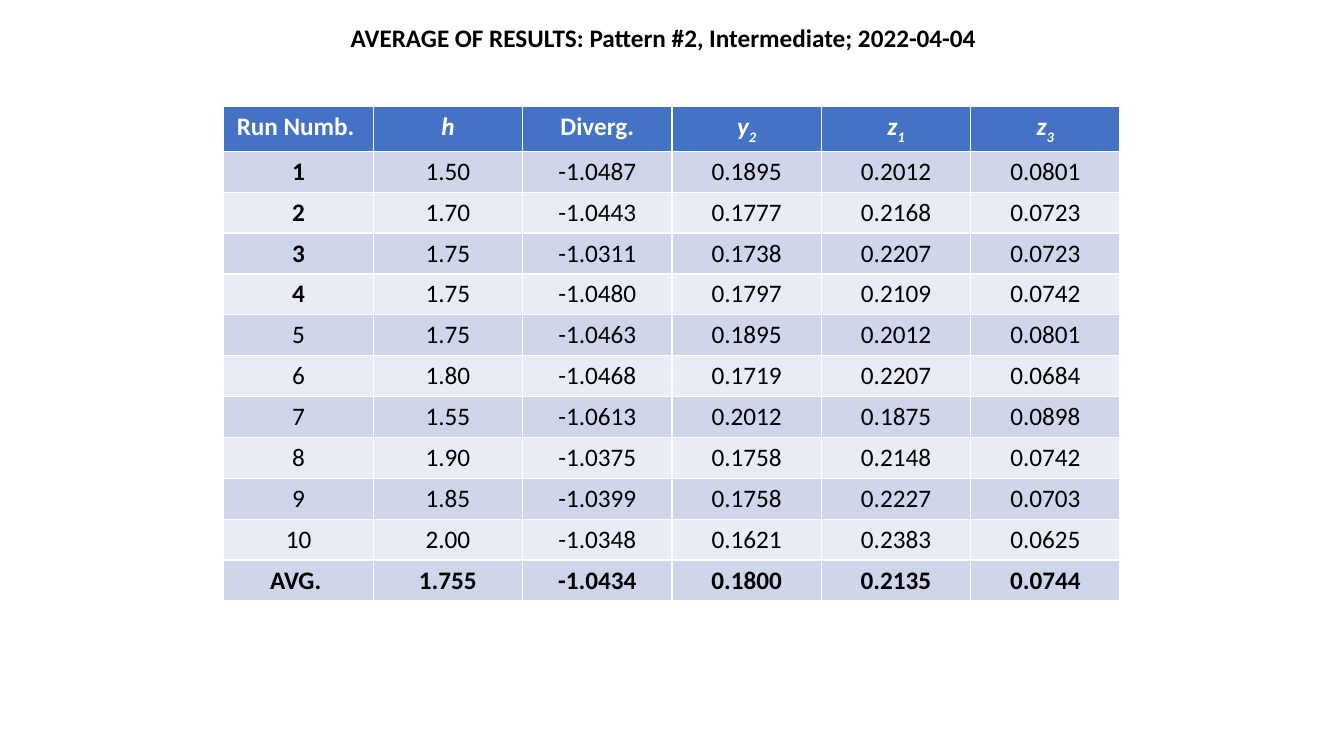
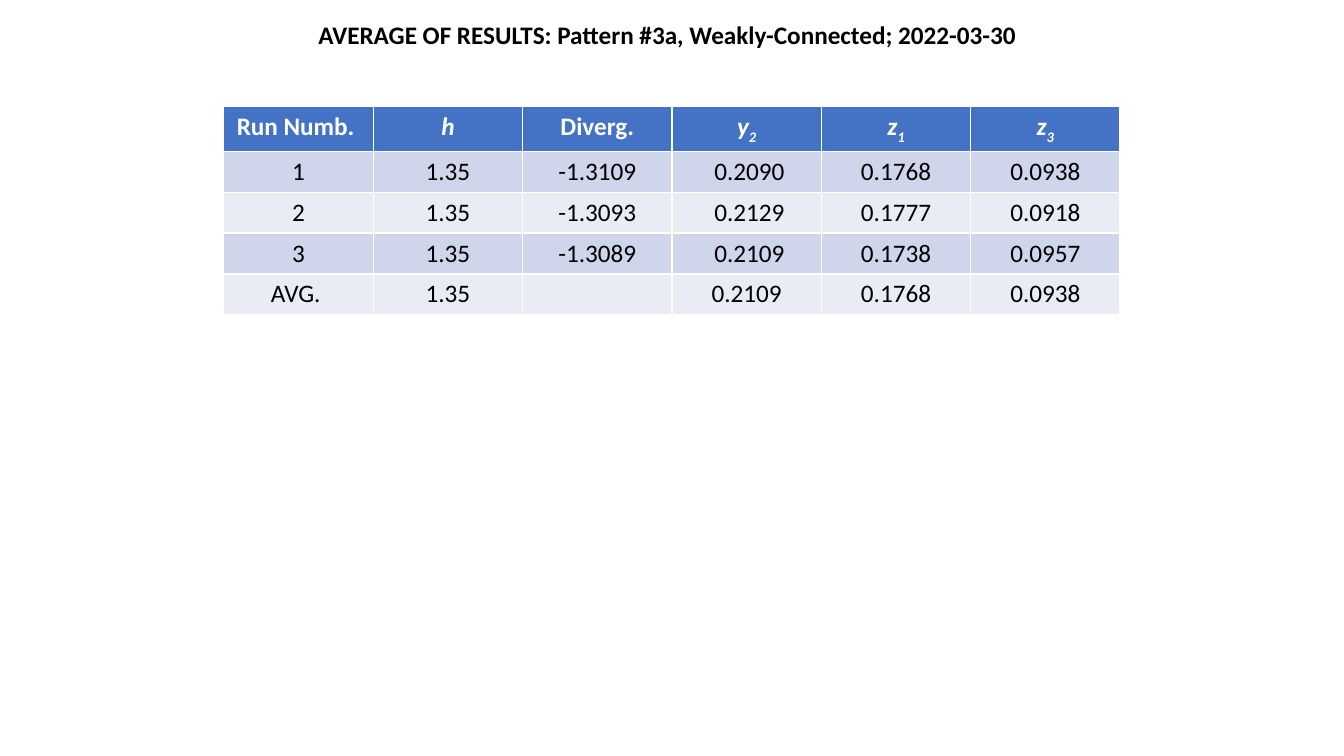
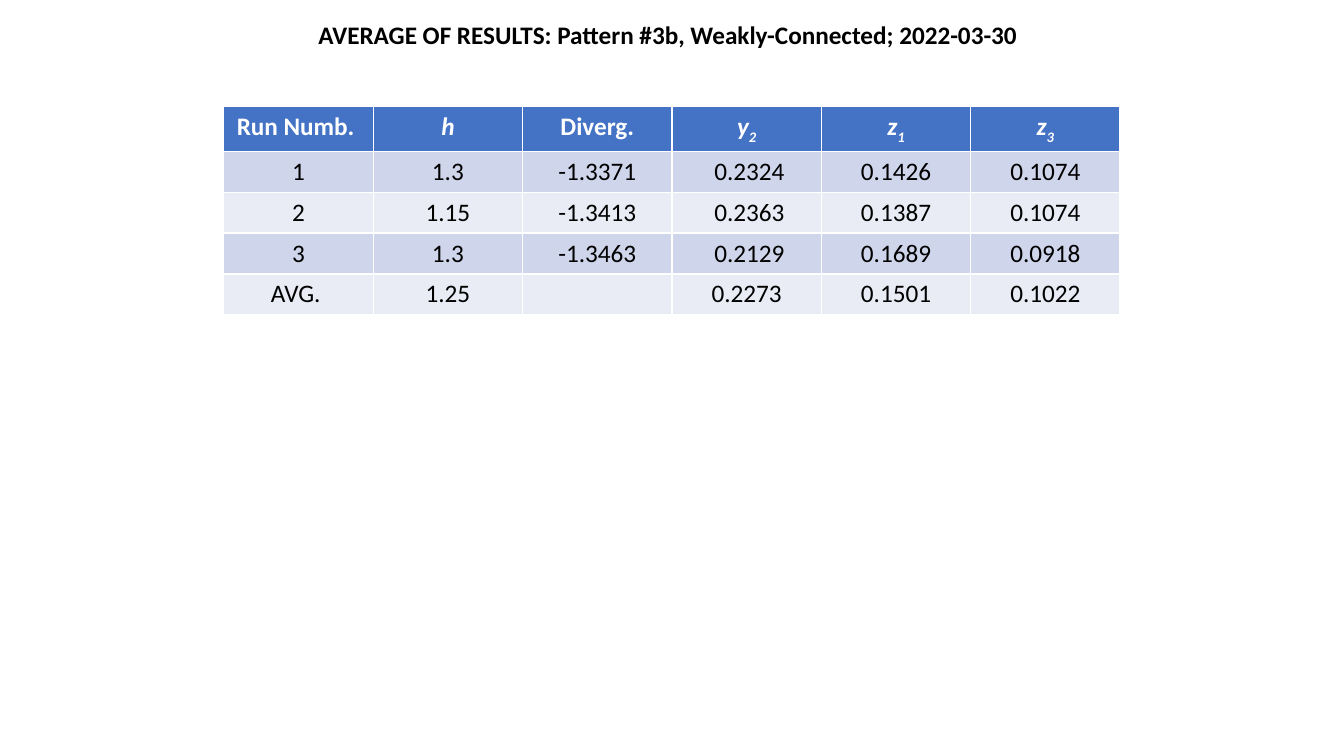
from pptx import Presentation
from pptx.dml.color import RGBColor
from pptx.enum import text as t
from pptx.util import Inches, Pt

FONT = "Calibri"
BLACK = RGBColor(0x00, 0x00, 0x00)
WHITE = RGBColor(0xFF, 0xFF, 0xFF)
BLUE = RGBColor(0x44, 0x72, 0xC4)
BANDS = [RGBColor(0xE9, 0xEB, 0xF5), RGBColor(0xCF, 0xD5, 0xEA)]

COLS, COL_W, ROW_H = 6, 8.89 / 6, 4.87 / 12
# Heading, subscript, italic
HEADS = [("Run Numb. ", "", False), ("h", "", True), ("Diverg.", "", False),
         ("y", "2", True), ("z", "1", True), ("z", "3", True)]

# Title, title box (left, top, width), rows, rows with a bold number, bold average
PAGES = [
    ("Pattern #2, Intermediate; 2022-04-04", (3.38, 0.17, 6.47), [
        ("1", "1.50", "-1.0487", "0.1895", "0.2012", "0.0801"),
        ("2", "1.70", "-1.0443", "0.1777", "0.2168", "0.0723"),
        ("3", "1.75", "-1.0311", "0.1738", "0.2207", "0.0723"),
        ("4", "1.75", "-1.0480", "0.1797", "0.2109", "0.0742"),
        ("5", "1.75", "-1.0463", "0.1895", "0.2012", "0.0801"),
        ("6", "1.80", "-1.0468", "0.1719", "0.2207", "0.0684"),
        ("7", "1.55", "-1.0613", "0.2012", "0.1875", "0.0898"),
        ("8", "1.90", "-1.0375", "0.1758", "0.2148", "0.0742"),
        ("9", "1.85", "-1.0399", "0.1758", "0.2227", "0.0703"),
        ("10", "2.00", "-1.0348", "0.1621", "0.2383", "0.0625"),
        ("AVG. ", "1.755", "-1.0434", "0.1800", "0.2135", "0.0744"),
    ], 4, True),
    ("Pattern #3a, Weakly-Connected; 2022-03-30", (3.06, 0.14, 7.21), [
        ("1", "1.35", "-1.3109", " 0.2090", "0.1768", "0.0938"),
        ("2", "1.35", "-1.3093", " 0.2129", "0.1777", "0.0918"),
        ("3", "1.35", "-1.3089", " 0.2109", "0.1738", "0.0957"),
        ("AVG. ", "1.35", "", "0.2109", "0.1768", "0.0938"),
    ], 0, False),
    ("Pattern #3b, Weakly-Connected; 2022-03-30", (3.06, 0.14, 7.21), [
        ("1", "1.3", "-1.3371", " 0.2324", "0.1426", "0.1074"),
        ("2", "1.15", "-1.3413", " 0.2363", "0.1387", "0.1074"),
        ("3", "1.3", "-1.3463", " 0.2129", "0.1689", "0.0918"),
        ("AVG. ", "1.25", "", "0.2273", "0.1501", "0.1022"),
    ], 0, False),
]


def write(frame, words, sub="", color=BLACK, bold=False, italic=False,
          align=t.PP_ALIGN.CENTER):
    """Fill the first paragraph with words and an optional subscript."""
    para = frame.paragraphs[0]
    para.alignment = align
    for part in filter(None, (words, sub)):
        run = para.add_run()
        run.text = part
        font = run.font
        font.name, font.size = FONT, Pt(18)
        font.bold, font.italic = bold, italic
        font.color.rgb = color
    if sub:
        run.font._element.set("baseline", "-25000")


prs = Presentation()
prs.slide_width, prs.slide_height = Inches(13.33), Inches(7.5)

for title, (left, top, width), rows, marked, strong in PAGES:
    slide = prs.slides.add_slide(prs.slide_layouts[6])
    box = slide.shapes.add_textbox(Inches(left), Inches(top), Inches(width), Inches(0.4))
    frame = box.text_frame
    frame.word_wrap = False
    frame.auto_size = t.MSO_AUTO_SIZE.SHAPE_TO_FIT_TEXT
    write(frame, "AVERAGE OF RESULTS: " + title, bold=True, align=t.PP_ALIGN.LEFT)

    count = len(rows) + 1
    table = slide.shapes.add_table(count, COLS, Inches(2.22), Inches(1.06),
                                   Inches(COL_W * COLS), Inches(ROW_H * count)).table
    for c, (name, sub, italic) in enumerate(HEADS):
        cell = table.cell(0, c)
        cell.fill.solid()
        cell.fill.fore_color.rgb = BLUE
        write(cell.text_frame, name, sub, color=WHITE, bold=True, italic=italic)
    for r, row in enumerate(rows, 1):
        for c, value in enumerate(row):
            cell = table.cell(r, c)
            cell.fill.solid()
            cell.fill.fore_color.rgb = BANDS[r % 2]
            bold = (c == 0 and r <= marked) or (strong and r == len(rows))
            write(cell.text_frame, value, bold=bold)

prs.save("out.pptx")
